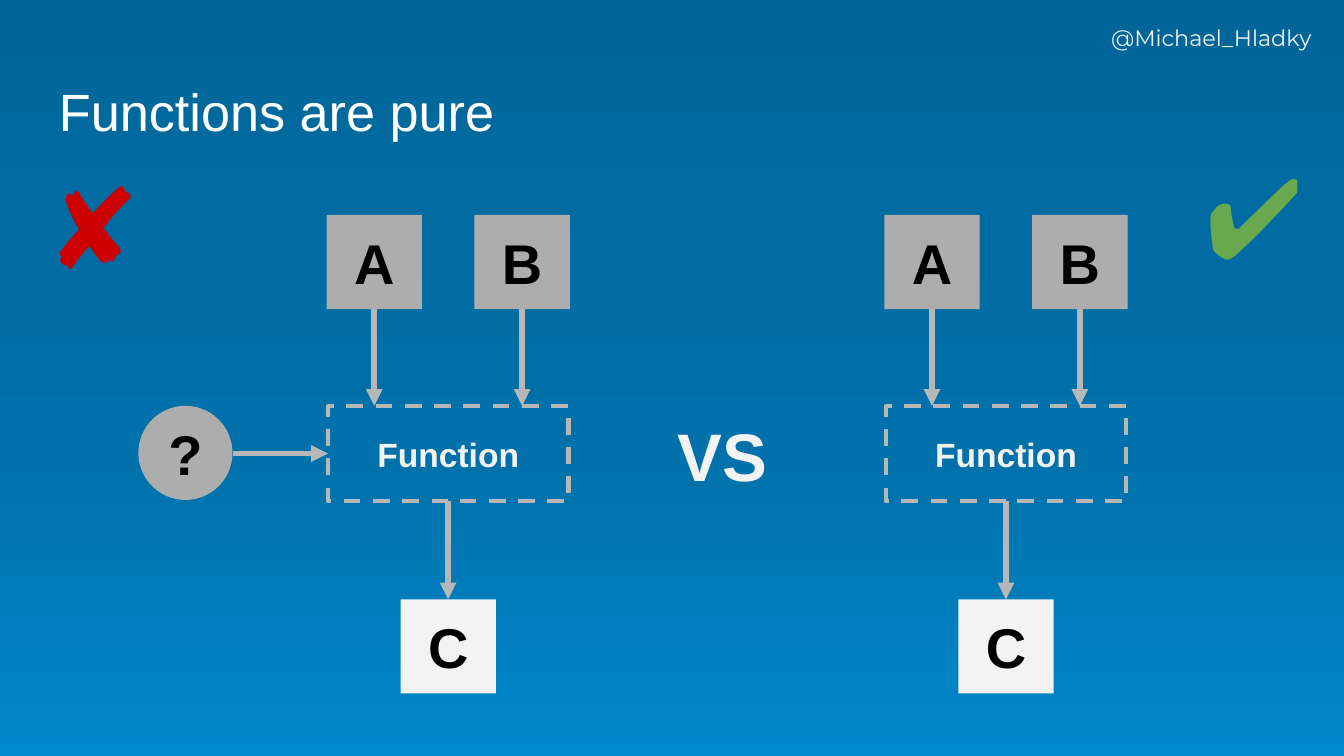
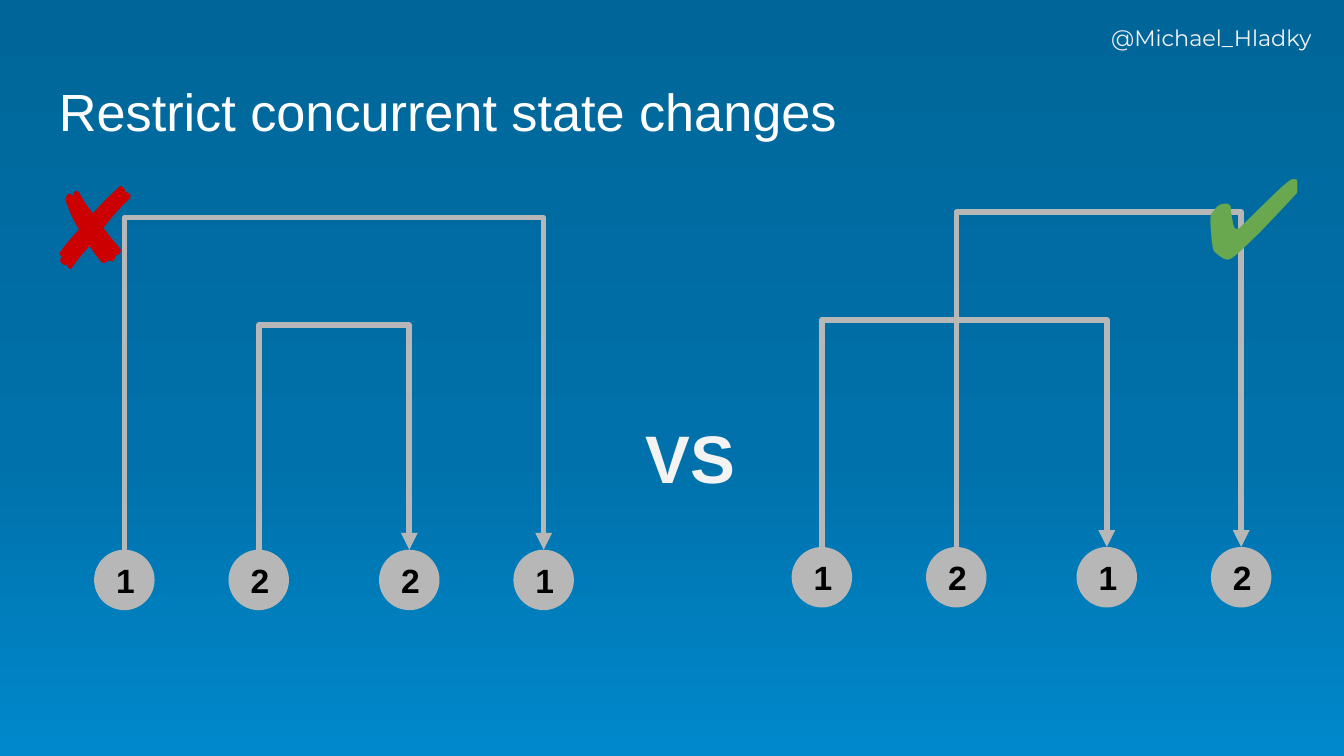
from copy import deepcopy

from pptx import Presentation
from pptx.dml.color import RGBColor
from pptx.enum.dml import MSO_LINE
from pptx.enum.shapes import MSO_CONNECTOR, MSO_SHAPE
from pptx.enum.text import MSO_ANCHOR, PP_ALIGN
from pptx.oxml.ns import qn
from pptx.util import Emu, Pt

RECTANGLE, ELLIPSE = MSO_SHAPE.RECTANGLE, MSO_SHAPE.OVAL
STRAIGHT, ELBOW = MSO_CONNECTOR.STRAIGHT, MSO_CONNECTOR.ELBOW
LEFT, CENTER = PP_ALIGN.LEFT, PP_ALIGN.CENTER
TOP, MIDDLE = MSO_ANCHOR.TOP, MSO_ANCHOR.MIDDLE
DASH = MSO_LINE.DASH
SITE_TOP, SITE_LEFT, SITE_BOTTOM = 0, 1, 2

EMU_PER_PX = 9144
SLIDE_WIDTH = 1000
SLIVER = 720
INSET = 10
BOX_WIDTH, BOX_HEIGHT = 71, 70
DOT = 45
DOT_OFFSETS = (0, 100, 212, 312)

COLORS = {
    "white": "FFFFFF",
    "light": "F3F3F3",
    "box": "ADADAD",
    "line": "B7B7B7",
    "black": "000000",
    "wrong": "CC0000",
    "right": "6AA84F",
    "sky top": "006699",
    "sky middle": "0071AA",
    "sky bottom": "0088CC",
}
BACKGROUND_STOPS = ((0, "sky top"), (0.6, "sky middle"), (1, "sky bottom"))


def px(length):
    """Turn a length in px into EMU."""
    return Emu(round(length * EMU_PER_PX))


def color(name):
    """Return the named colour."""
    return RGBColor.from_string(COLORS[name])


def write_text(shape, text, size=18, font="Arial", ink="light", bold=False,
               align=LEFT, anchor=TOP):
    """Put one formatted paragraph into a shape."""
    frame = shape.text_frame
    frame.word_wrap = True
    frame.vertical_anchor = anchor
    frame.margin_left = frame.margin_right = px(INSET)
    frame.margin_top = frame.margin_bottom = px(INSET)
    paragraph = frame.paragraphs[0]
    paragraph.alignment = align
    run = paragraph.add_run()
    run.text = text
    run.font.size = Pt(size)
    run.font.name = font
    run.font.bold = bold
    run.font.color.rgb = color(ink)


def add_label(slide, box, text, **text_format):
    """Add a text box."""
    write_text(slide.shapes.add_textbox(*map(px, box)), text, **text_format)


def add_node(slide, kind, box, text, fill=None, **text_format):
    """Add a filled shape, or a dashed outline when there is no fill."""
    shape = slide.shapes.add_shape(kind, *map(px, box))
    shape.shadow.inherit = False
    if fill:
        shape.fill.solid()
        shape.fill.fore_color.rgb = color(fill)
        shape.line.fill.background()
    else:
        shape.fill.background()
        shape.line.color.rgb = color("line")
        shape.line.width = Pt(2.25)
        shape.line.dash_style = DASH
    write_text(shape, text, bold=True, align=CENTER, anchor=MIDDLE, **text_format)
    return shape


def add_arrow(slide, start, end, kind=STRAIGHT):
    """Add a connector with a triangle at its end."""
    connector = slide.shapes.add_connector(kind, *map(px, start + end))
    connector.line.color.rgb = color("line")
    connector.line.width = Pt(3)
    properties = connector._element.spPr
    outline = properties.find(qn("a:ln"))
    outline.append(outline.makeelement(qn("a:tailEnd"), {"type": "triangle"}))
    properties.append(properties.makeelement(qn("a:effectLst"), {}))
    return connector


def add_bridge(slide, first, last, start, end, rise):
    """Join the tops of two circles with an arrow that rises between them."""
    connector = add_arrow(slide, start, end, ELBOW)
    connector.begin_connect(first, SITE_TOP)
    connector.end_connect(last, SITE_TOP)
    span = px(end[0] - start[0])
    connector.left = Emu(px(start[0]) + span // 2 - SLIVER // 2)
    connector.top = Emu(px(start[1]) - span // 2)
    connector.width, connector.height = Emu(SLIVER), span
    properties = connector._element.spPr
    transform = properties.find(qn("a:xfrm"))
    transform.set("rot", "16200000")
    transform.set("flipH", "1")
    adjustments = properties.find(qn("a:prstGeom")).find(qn("a:avLst"))
    ratio = round(-px(rise) * 100000 / SLIVER)
    adjustments.append(adjustments.makeelement(
        qn("a:gd"), {"name": "adj1", "fmla": f"val {ratio}"}))


def paint_background(slide):
    """Fill the slide with the vertical blue gradient."""
    fill = slide.background.fill
    fill.gradient()
    fill.gradient_angle = 270
    stop_list = slide._element.find(".//" + qn("a:gsLst"))
    stop_list.append(deepcopy(stop_list[-1]))
    for stop, (position, name) in zip(fill.gradient_stops, BACKGROUND_STOPS):
        stop.position = position
        stop.color.rgb = color(name)


def add_base(presentation, title):
    """Add a slide with background, handle and title."""
    slide = presentation.slides.add_slide(presentation.slide_layouts[6])
    paint_background(slide)
    add_label(slide, (817, 8, 170, 45), "@Michael_Hladky", size=12, font="Montserrat")
    add_label(slide, (34, 49, 932, 63), title, size=28, ink="white")
    return slide


def add_versus(slide, left, top):
    """Add the VS label between the two sides."""
    add_label(slide, (left, top, 103, 65), "VS", size=36, bold=True, align=CENTER)


def add_verdicts(slide):
    """Mark the left side wrong and the right side right."""
    add_label(slide, (25, 131, 74, 73), "✘", size=60, ink="wrong", anchor=MIDDLE)
    add_label(slide, (887, 117, 65, 84), "✔", size=60, font="Calibri", ink="right",
              anchor=MIDDLE)


def add_function_diagram(slide, left, top, impure=False):
    """Draw inputs A and B, the function and its result C."""
    function_top = top + 142
    function = add_node(slide, RECTANGLE, (left + 1, function_top, 179, 71), "Function")
    for offset, name in ((0, "A"), (110, "B")):
        box = add_node(slide, RECTANGLE, (left + offset, top, BOX_WIDTH, BOX_HEIGHT),
                       name, fill="box", size=30, ink="black")
        middle = left + offset + BOX_WIDTH / 2
        arrow = add_arrow(slide, (middle, top + BOX_HEIGHT), (middle, function_top))
        arrow.begin_connect(box, SITE_BOTTOM)
    result = add_node(slide, RECTANGLE, (left + 55, top + 286, BOX_WIDTH, BOX_HEIGHT),
                      "C", fill="light", size=30, ink="black")
    middle = left + 55 + BOX_WIDTH / 2
    arrow = add_arrow(slide, (middle, function_top + 71), (middle, top + 286))
    arrow.begin_connect(function, SITE_BOTTOM)
    arrow.end_connect(result, SITE_TOP)
    if impure:
        add_node(slide, ELLIPSE, (left - 140, function_top, 70, 70), "?",
                 fill="box", size=30, ink="black")
        level = function_top + 71 / 2
        arrow = add_arrow(slide, (left - 70, level), (left + 1, level))
        arrow.end_connect(function, SITE_LEFT)


def add_timeline(slide, left, top, names, bridges):
    """Draw a row of numbered circles and the arrows bridging them."""
    dots = [add_node(slide, ELLIPSE, (left + offset, top, DOT, DOT), name,
                     fill="line", ink="black")
            for offset, name in zip(DOT_OFFSETS, names)]
    tops = [(left + offset + DOT / 2, top) for offset in DOT_OFFSETS]
    for first, last, rise in bridges:
        add_bridge(slide, dots[first], dots[last], tops[first], tops[last], rise)


def build_pure_functions(presentation):
    """Build the slide comparing impure and pure functions."""
    slide = add_base(presentation, "Functions are pure")
    add_function_diagram(slide, 243, 160, impure=True)
    add_function_diagram(slide, 658, 160)
    add_versus(slide, 486, 298)
    add_verdicts(slide)


def build_concurrent_changes(presentation):
    """Build the slide comparing orders of state changes."""
    slide = add_base(presentation, "Restrict concurrent state changes")
    add_versus(slide, 462, 300)
    add_timeline(slide, 70, 409, "1221", ((0, 3, 247), (1, 2, 167)))
    add_timeline(slide, 589, 407, "1212", ((0, 2, 169), (1, 3, 249)))
    add_verdicts(slide)


def main():
    """Build and save the presentation."""
    presentation = Presentation()
    presentation.slide_width = px(SLIDE_WIDTH)
    presentation.slide_height = px(SLIDE_WIDTH * 9 / 16)
    build_pure_functions(presentation)
    build_concurrent_changes(presentation)
    presentation.save("out.pptx")


if __name__ == "__main__":
    main()
